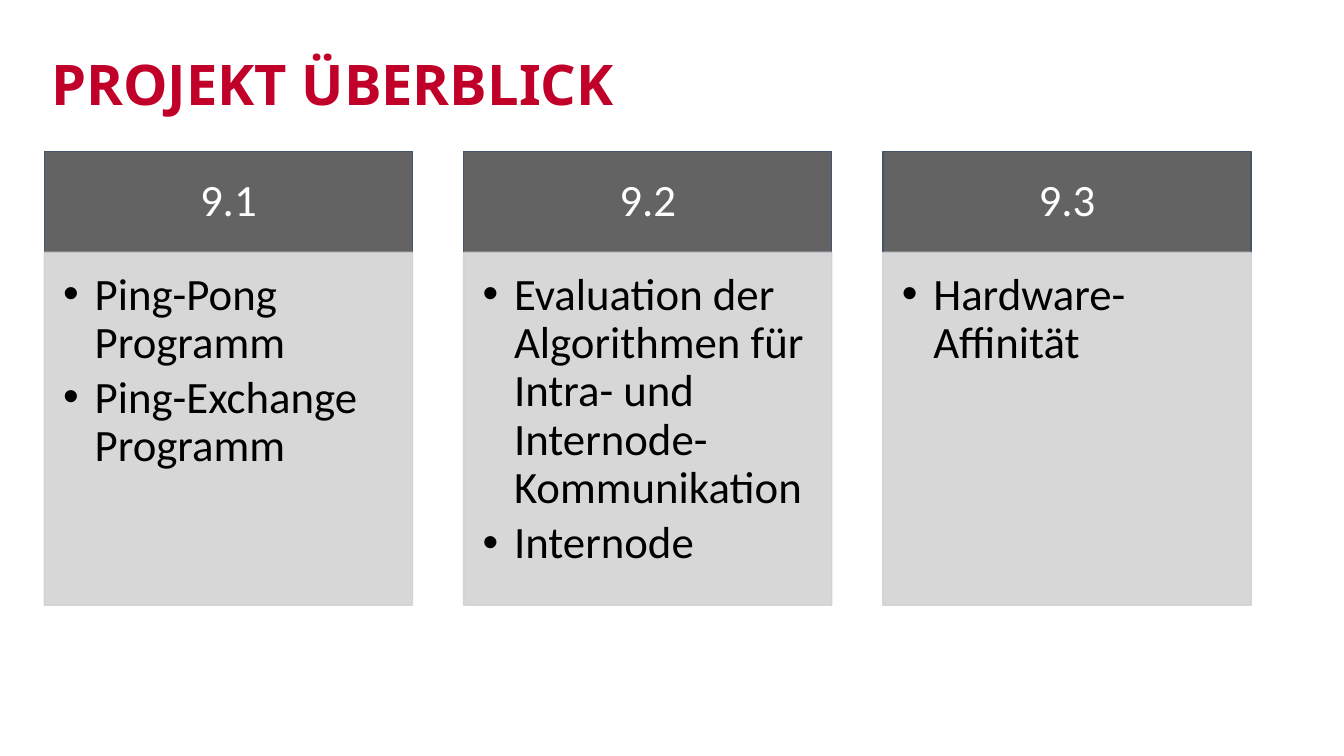
from dataclasses import dataclass

from lxml import etree
from pptx import Presentation
from pptx.dml.color import RGBColor
from pptx.enum.shapes import MSO_SHAPE
from pptx.enum.text import MSO_ANCHOR, MSO_AUTO_SIZE, PP_ALIGN
from pptx.oxml.ns import qn
from pptx.util import Pt

RECT = MSO_SHAPE.RECTANGLE
TOP, MIDDLE = MSO_ANCHOR.TOP, MSO_ANCHOR.MIDDLE
LEFT, CENTER = PP_ALIGN.LEFT, PP_ALIGN.CENTER
NO_FIT = MSO_AUTO_SIZE.NONE
TITLE_ONLY = 5


@dataclass(frozen=True)
class Theme:
    red: str = "C1002A"
    gray: str = "636363"
    navy: str = "44546A"
    pale: str = "CFD1D4"
    white: str = "FFFFFF"
    black: str = "000000"
    title_font: str = "Noto Sans"
    text_font: str = "Calibri"
    title_size: int = 40
    text_size: int = 32


COLUMNS = [
    ("9.1", ["Ping-Pong Programm", "Ping-Exchange Programm"]),
    ("9.2", ["Evaluation der Algorithmen für Intra- und Internode-Kommunikation",
             "Internode"]),
    ("9.3", ["Hardware-Affinität"]),
]
MARGIN, WIDTH, STEP = 31.7, 263, 299.5
HEAD_TOP, HEAD_HIGH, LIST_HIGH = 108, 72.3, 252


def assign(target, values):
    for name, value in values.items():
        setattr(target, name, value)


def fade(paint, percent):
    """Set the opacity of a solid fill, given the element that holds it."""
    color = paint.find(".//" + qn("a:srgbClr"))
    etree.SubElement(color, qn("a:alpha"), val=str(percent * 1000))


class Deck:
    def __init__(self, theme):
        self.theme = theme
        self.show = Presentation()
        assign(self.show, {"slide_width": Pt(960), "slide_height": Pt(540)})
        self.slide = self.show.slides.add_slide(self.show.slide_layouts[TITLE_ONLY])

    def label(self, shape, lines, insets, anchor, align, font, after=0):
        frame = shape.text_frame
        sides = ("margin_left", "margin_top", "margin_right", "margin_bottom")
        assign(frame, dict(zip(sides, map(Pt, insets))))
        assign(frame, {"text": "\n".join(lines), "word_wrap": True,
                       "auto_size": NO_FIT, "vertical_anchor": anchor})
        color, style = font
        for para in frame.paragraphs:
            assign(para, {"alignment": align, "line_spacing": 0.9,
                          "space_before": Pt(0), "space_after": Pt(after)})
            face = para.runs[0].font
            assign(face, style)
            face.color.rgb = RGBColor.from_string(color)

    def font(self, color):
        return color, {"name": self.theme.text_font, "size": Pt(self.theme.text_size)}

    def title(self, text):
        look = self.theme
        shape = self.slide.shapes.title
        assign(shape, {"left": Pt(MARGIN), "top": Pt(41), "width": Pt(862.5),
                       "height": Pt(92)})
        style = {"name": look.title_font, "size": Pt(look.title_size), "bold": True}
        self.label(shape, [text], (5, 0, 5, 0), TOP, LEFT, (look.red, style))

    def box(self, left, top, high, edge):
        shape = self.slide.shapes.add_shape(RECT, Pt(left), Pt(top), Pt(WIDTH), Pt(high))
        shape.shadow.inherit = False
        shape.fill.solid()
        shape.fill.fore_color.rgb = RGBColor.from_string(self.theme.gray)
        shape.line.color.rgb = RGBColor.from_string(edge)
        shape.line.width = Pt(1)
        return shape

    def head(self, left, text):
        shape = self.box(left, HEAD_TOP, HEAD_HIGH, self.theme.navy)
        self.label(shape, [text], (18, 10, 18, 10), MIDDLE, CENTER,
                   self.font(self.theme.white))

    def points(self, left, items):
        shape = self.box(left, HEAD_TOP + HEAD_HIGH, LIST_HIGH, self.theme.pale)
        props = shape.element.spPr
        fade(props.find(qn("a:solidFill")), 25)
        fade(props.find(qn("a:ln")), 90)
        self.label(shape, items, (13.5, 13.5, 18, 20), TOP, LEFT,
                   self.font(self.theme.black), after=4.8)
        for para in shape.text_frame.paragraphs:
            self.bullet(para)

    def bullet(self, para):
        props = para._p.get_or_add_pPr()
        indent = Pt(22.5)
        props.set("marL", str(indent))
        props.set("indent", str(-indent))
        etree.SubElement(props, qn("a:buFont"), typeface="Arial")
        etree.SubElement(props, qn("a:buChar"), char="•")


def main():
    deck = Deck(Theme())
    deck.title("PROJEKT ÜBERBLICK")
    for index, (name, items) in enumerate(COLUMNS):
        left = MARGIN + index * STEP
        deck.head(left, name)
        deck.points(left, items)
    deck.show.save("out.pptx")


if __name__ == "__main__":
    main()
